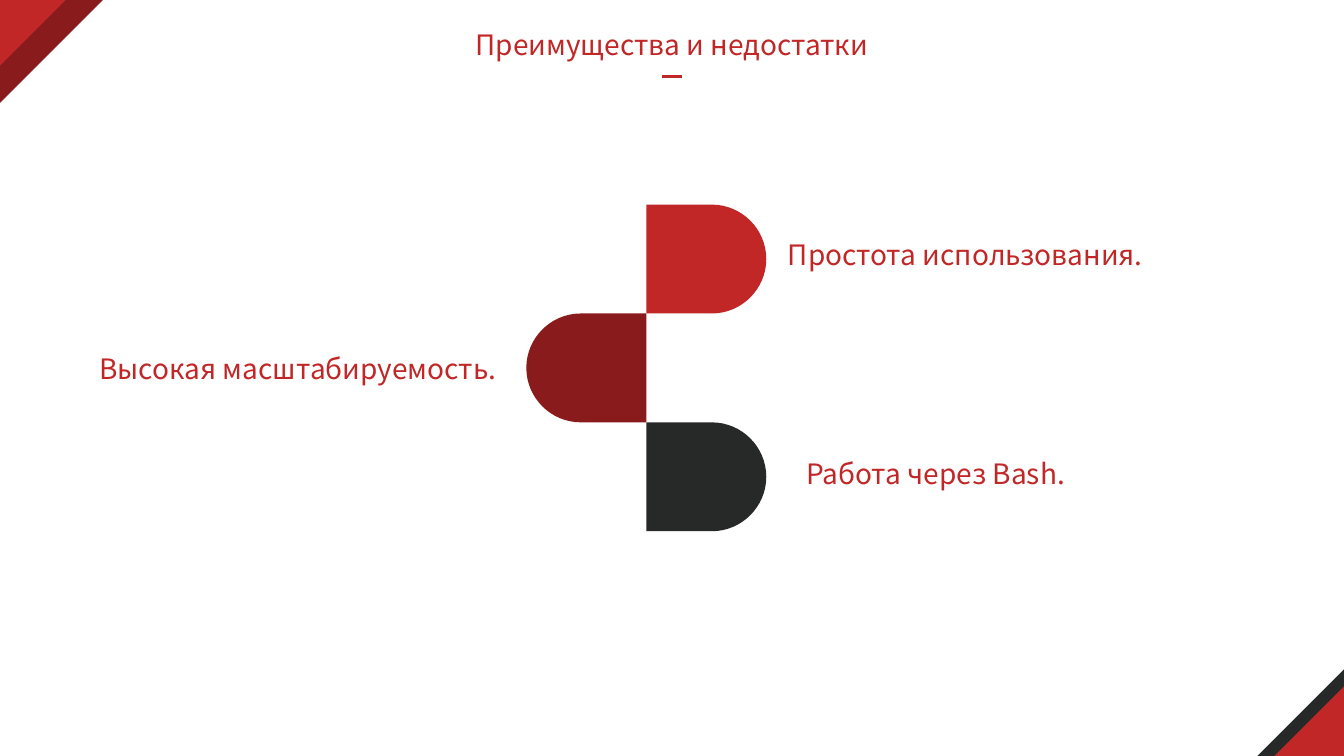
from lxml import etree
from pptx import Presentation
from pptx.dml.color import RGBColor
from pptx.enum import shapes, text
from pptx.oxml.ns import qn
from pptx.util import Inches, Pt

RED, DARK, BLACK = "C22727", "891B1C", "272928"
FONT = "Noto Sans CJK SC"
WIDE, HIGH = 13.33, 7.5
BEND = 0.55  # handle length of a quarter circle, in radii


def paint(shape, color):
    shape.shadow.inherit = False
    shape.fill.solid()
    shape.fill.fore_color.rgb = RGBColor.from_string(color)
    shape.line.fill.background()


def curve(node, *handles):
    """Turn a straight path segment into a cubic one with two handles."""
    node.tag = qn("a:cubicBezTo")
    for spot, (x, y) in enumerate(handles):
        point = etree.Element(qn("a:pt"), x=str(round(x)), y=str(round(y)))
        node.insert(spot, point)


deck = Presentation()
deck.slide_width, deck.slide_height = Inches(WIDE), Inches(HIGH)
slide = deck.slides.add_slide(deck.slide_layouts[6])
items = slide.shapes

# Corner triangles: bottom right is turned 270, top left 90
for side, turn, color in [(0.86, 270, BLACK), (1.02, 90, DARK),
                          (0.65, 90, RED), (0.69, 270, RED)]:
    left, top = (0, 0) if turn == 90 else (WIDE - side, HIGH - side)
    corner = items.add_shape(shapes.MSO_SHAPE.RIGHT_TRIANGLE, Inches(left),
                             Inches(top), Inches(side), Inches(side))
    corner.rotation = turn
    paint(corner, color)

# Short rule under the title
rule = items.add_connector(shapes.MSO_CONNECTOR.STRAIGHT, Inches(6.57),
                           Inches(0.76), Inches(6.76), Inches(0.76))
rule.line.color.rgb = RGBColor.from_string(RED)
rule.line.width = Pt(2)
etree.SubElement(rule._element.spPr, qn("a:effectLst"))

# Petals stacked on one axis, pointing right, left, right
axis, first, radius, stem = 6.41, 2.03, 0.54, 0.65
for row, (way, color) in enumerate([(1, RED), (-1, DARK), (1, BLACK)]):
    top = first + 2 * radius * row
    neck, tip = axis + way * stem, axis + way * (stem + radius)
    pen = items.build_freeform(Inches(axis), Inches(top))
    pen.add_line_segments([(Inches(x), Inches(y)) for x, y in [
        (neck, top), (tip, top + radius), (neck, top + 2 * radius),
        (axis, top + 2 * radius)]])
    petal = pen.convert_to_shape()
    paint(petal, color)

    edges = list(petal._element.iter(qn("a:lnTo")))[:3]
    (x, y), (far, mid), (_, low) = [
        (int(edge[0].get("x")), int(edge[0].get("y"))) for edge in edges]
    out = x + BEND * (far - x)
    curve(edges[1], (out, y), (far, mid - BEND * (mid - y)))
    curve(edges[2], (far, mid + BEND * (low - mid)), (out, low))

# Title and labels
for left, top, width, words in [
        (4.4, 0.22, 4.53, "Преимущества и недостатки"),
        (7.61, 2.31, 3.93, "Простота использования."),
        (0.69, 3.44, 4.53, "Высокая масштабируемость."),
        (7.52, 4.48, 3.52, "Работа через Bash.")]:
    box = items.add_textbox(Inches(left), Inches(top), Inches(width), Inches(0.44))
    frame = box.text_frame
    frame.word_wrap = True
    frame.auto_size = text.MSO_AUTO_SIZE.SHAPE_TO_FIT_TEXT
    line = frame.paragraphs[0]
    line.alignment = text.PP_ALIGN.CENTER
    run = line.add_run()
    run.text = words
    run.font.name, run.font.size = FONT, Pt(20)
    run.font.color.rgb = RGBColor.from_string(RED)

deck.save("out.pptx")
